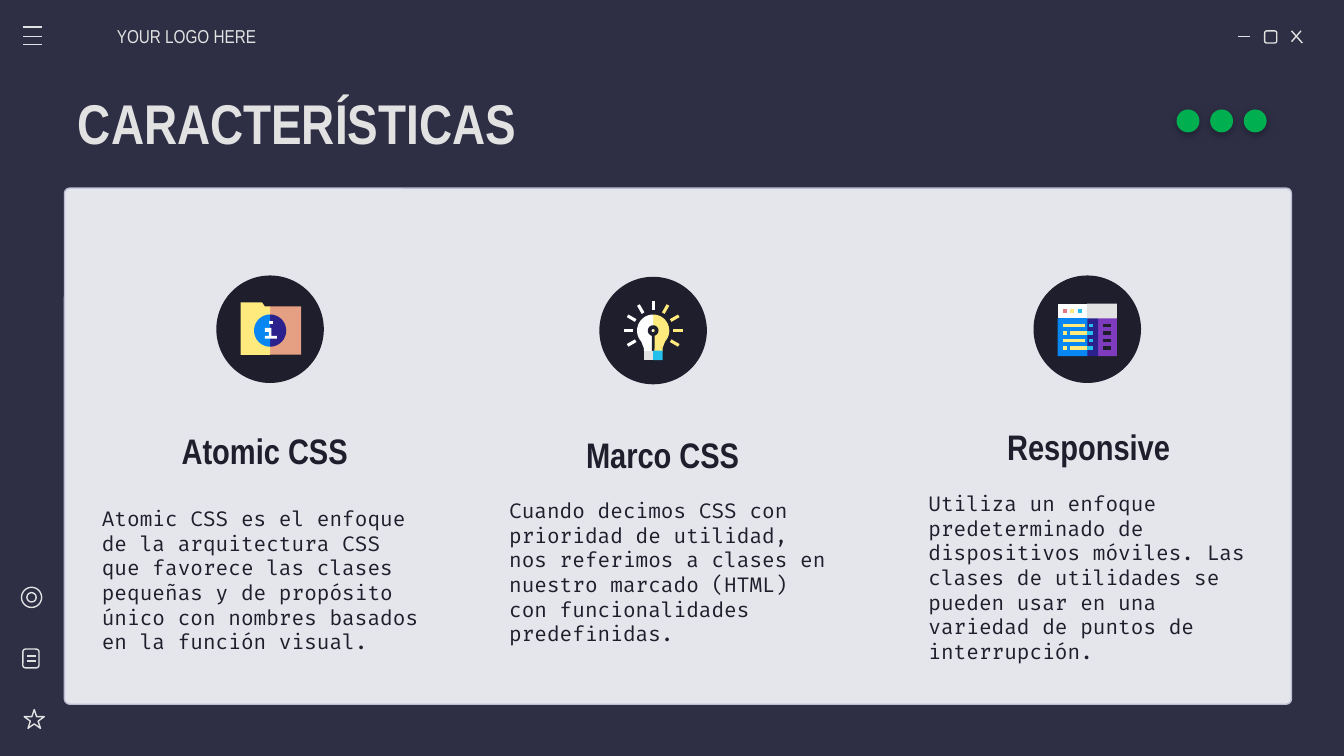
from math import cos, radians, sin

from lxml.etree import SubElement
from pptx import Presentation
from pptx.dml.color import RGBColor
from pptx.enum.shapes import MSO_CONNECTOR, MSO_SHAPE
from pptx.enum.text import MSO_ANCHOR, MSO_AUTO_SIZE, PP_ALIGN
from pptx.oxml.ns import qn
from pptx.util import Inches, Pt

THEME = {
    "heading_font": "Arial Narrow", "body_font": "Fira Code",
    "title_size": 30, "heading_size": 19, "body_size": 11, "small_size": 10,
    "rule": 0.75,
    "night": "2E2E45", "panel": "E5E5EC", "edge": "BCBCD4", "ink": "1E1E2C",
    "light": "E2E2E2", "green": "00B050", "white": "FFFFFF", "yellow": "FFEA7D",
    "tan": "E5A083", "navy": "2B218D", "blue": "0887F2", "cyan": "24BFEB",
    "purple": "7E3BBE", "pink": "E07A88",
}

TITLE = "CARACTERÍSTICAS"
LOGO_LINE = "YOUR LOGO HERE"
FEATURES = [
    {"heading": "Atomic CSS", "icon": "folder", "disc": (1.61, 2.05),
     "heading_at": (0.96, 3.1), "body_at": (0.66, 3.63),
     "body": "Atomic CSS es el enfoque de la arquitectura CSS que favorece las "
             "clases pequeñas y de propósito único con nombres basados en la "
             "función visual."},
    {"heading": "Marco CSS", "icon": "bulb", "disc": (4.46, 2.06),
     "heading_at": (3.92, 3.13), "body_at": (3.69, 3.57),
     "body": "Cuando decimos CSS con prioridad de utilidad, nos referimos a "
             "clases en nuestro marcado (HTML) con funcionalidades predefinidas."},
    {"heading": "Responsive", "icon": "screen", "disc": (7.69, 2.05),
     "heading_at": (7.09, 3.07), "body_at": (6.81, 3.61),
     "body": "Utiliza un enfoque predeterminado de dispositivos móviles. Las "
             "clases de utilidades se pueden usar en una variedad de puntos de "
             "interrupción."},
]
DISC_SIZE, ICON_Y = 0.8, 2.46

MENU_LINES = [(0.17, y, 0.31, y) for y in (0.2, 0.27, 0.33)]
NOTE_LINES = [(0.2, y, 0.27, y) for y in (4.88, 4.92)]
WINDOW_LINES = [(9.21, 0.27, 9.3, 0.27), (9.61, 0.23, 9.69, 0.32), (9.68, 0.23, 9.61, 0.31)]
OUTLINES = [
    (MSO_SHAPE.ROUNDED_RECTANGLE, (9.41, 0.23, 0.09, 0.09)),
    (MSO_SHAPE.OVAL, (0.16, 4.37, 0.15, 0.15)),
    (MSO_SHAPE.OVAL, (0.2, 4.41, 0.07, 0.07)),
    (MSO_SHAPE.ROUNDED_RECTANGLE, (0.17, 4.83, 0.12, 0.14)),
    (MSO_SHAPE.STAR_5_POINT, (0.18, 5.28, 0.15, 0.14)),
]
DOTS_X = [8.76, 9.01, 9.26]


def polar(radius, angle):
    return radius * cos(radians(angle)), radius * sin(radians(angle))


def arc(radius, start, end, steps=16):
    return [polar(radius, start + (end - start) * i / steps) for i in range(steps + 1)]


def rect(x, y, width, height):
    return [(x, y), (x + width, y), (x + width, y + height), (x, y + height)]


def ray(angle, inner=15, outer=22, half=1.15):
    side_x, side_y = polar(half, angle + 90)
    (ax, ay), (bx, by) = polar(inner, angle), polar(outer, angle)
    return [(ax + side_x, ay + side_y), (bx + side_x, by + side_y),
            (bx - side_x, by - side_y), (ax - side_x, ay - side_y)]


def folder_parts():
    return [
        ("tan", [(-2, 0), (0, -18), (23, -18), (23, 18), (0, 18)]),
        ("yellow", [(-22, -21), (-22, 18), (0, 18), (0, -18), (-4, -18), (-6, -21)]),
        ("navy", [(-2, 0)] + arc(12, -90, 90)),
        ("blue", arc(12, 90, 270)),
        ("white", [(-4, -2), (-4, 1), (-1, 1), (-1, 4), (-4, 4), (-4, 6),
                   (5, 6), (5, 4), (1, 4), (1, -2)]),
        ("white", rect(-1, -7, 3, 2)),
    ]


def bulb_parts():
    rays = [("white" if a <= -90 else "yellow", ray(a)) for a in range(-210, 31, 30)]
    return [
        ("yellow", arc(12, -90, 42) + [(7, 13), (7, 15), (-2, 17)]),
        ("white", arc(12, -90, -222) + [(-7, 13), (-7, 15), (0, 17)]),
        *rays,
        ("ink", arc(4, 105, 435) + [(1, 17), (-1, 17)], arc(1.2, 360, 0)),
        ("cyan", [(0, 15), (-2, 18), (0, 22), (7, 22), (7, 15)]),
        ("light", rect(-7, 15, 7, 7)),
    ]


def screen_parts():
    parts = [
        ("purple", [(7, -11), (8, 19), (22, 19), (22, -9)]),
        ("navy", [(-2, -11), (0, 19), (8, 19), (8, -9)]),
        ("blue", [(0, -11), (-22, -9), (-22, 19), (0, 19)]),
        ("light", [(0, -20), (-2, -14), (0, -9), (22, -9), (22, -20)]),
        ("white", rect(-22, -20, 22, 11)),
    ]
    for i, color in enumerate(("pink", "yellow", "cyan")):
        parts.append((color, rect(-18 + 5.5 * i, -16, 2.7, 2.7)))
    long_row = [("yellow", -18, 16.5), ("cyan", 1, 3)]
    split_row = [("yellow", -18, 2.7), ("yellow", -13, 13), ("cyan", -0.5, 4.5)]
    for i, row in enumerate((long_row, split_row) * 2):
        for color, x, width in row + [("ink", 12, 5.5)]:
            parts.append((color, rect(x, -5 + 5.6 * i, width, 2.6)))
    return parts


ICONS = {"folder": folder_parts, "bulb": bulb_parts, "screen": screen_parts}


def tint(name):
    return RGBColor.from_string(THEME[name])


def paint(item, fill=None, line=None):
    item.shadow.inherit = False
    if fill:
        item.fill.solid()
        item.fill.fore_color.rgb = tint(fill)
    else:
        item.fill.background()
    if line:
        item.line.color.rgb = tint(line)
        item.line.width = Pt(THEME["rule"])
    else:
        item.line.fill.background()
    return item


def preset(slide, kind, box, fill=None, line=None):
    return paint(slide.shapes.add_shape(kind, *map(Inches, box)), fill, line)


def stroke(slide, ends):
    rule = slide.shapes.add_connector(MSO_CONNECTOR.STRAIGHT, *map(Inches, ends))
    rule.line.color.rgb = tint("light")
    rule.line.width = Pt(THEME["rule"])
    SubElement(rule._element.spPr, qn("a:effectLst"))


def outline(slide, center, color, *contours):
    placed = [[(Inches(center[0] + x / 100), Inches(center[1] + y / 100)) for x, y in contour]
              for contour in contours]
    builder = slide.shapes.build_freeform(*placed[0][0])
    builder.add_line_segments(placed[0][1:], close=True)
    for contour in placed[1:]:
        builder.move_to(*contour[0])
        builder.add_line_segments(contour[1:], close=True)
    paint(builder.convert_to_shape(), color)


def drop_shadow(dot):
    effects = dot._element.spPr.find(qn("a:effectLst"))
    shadow = SubElement(effects, qn("a:outerShdw"), blurRad=str(Pt(4.5)), dist=str(Pt(1.5)),
                        dir="5400000", algn="bl", rotWithShape="0")
    black = SubElement(shadow, qn("a:srgbClr"), val="000000")
    SubElement(black, qn("a:alpha"), val="30000")


def write(slide, text, *, box, size, font="heading_font", color="ink", bold=False,
          align=PP_ALIGN.LEFT, left_inset=0.1, holder=None):
    place = [Inches(v) for v in box]
    holder = holder or slide.shapes.add_textbox(*place)
    holder.left, holder.top, holder.width, holder.height = place
    frame = holder.text_frame
    frame.word_wrap = True
    frame.auto_size = MSO_AUTO_SIZE.NONE
    frame.vertical_anchor = MSO_ANCHOR.MIDDLE
    frame.margin_left = Inches(left_inset)
    frame.margin_right = frame.margin_top = frame.margin_bottom = Inches(0.1)
    paragraph = frame.paragraphs[0]
    paragraph.alignment = align
    paragraph.space_before = Pt(0)
    run = paragraph.add_run()
    run.text = text
    run.font.name = THEME[font]
    run.font.size = Pt(THEME[size])
    run.font.bold = bold
    run.font.color.rgb = tint(color)


def main():
    deck = Presentation()
    deck.slide_width = Inches(10)
    deck.slide_height = deck.slide_width * 9 // 16
    slide = deck.slides.add_slide(deck.slide_layouts[0])
    slide.background.fill.solid()
    slide.background.fill.fore_color.rgb = tint("night")

    panel = preset(slide, MSO_SHAPE.ROUNDED_RECTANGLE, (0.48, 1.4, 9.13, 3.84), "panel", "edge")
    panel.adjustments[0] = 0.01
    write(slide, TITLE, box=(0.48, 0.59, 9.13, 0.63), size="title_size", color="light",
          bold=True, holder=slide.shapes.title)
    write(slide, LOGO_LINE, box=(0.87, 0.12, 1.17, 0.3), size="small_size", color="light",
          left_inset=0, holder=slide.placeholders[1])

    for feature in FEATURES:
        left, top = feature["disc"]
        preset(slide, MSO_SHAPE.OVAL, (left, top, DISC_SIZE, DISC_SIZE), "ink")
        for color, *contours in ICONS[feature["icon"]]():
            outline(slide, (left + DISC_SIZE / 2, ICON_Y), color, *contours)
        write(slide, feature["heading"], box=(*feature["heading_at"], 2.02, 0.5),
              size="heading_size", bold=True, align=PP_ALIGN.CENTER)
        write(slide, feature["body"], box=(*feature["body_at"], 2.63, 1.37),
              size="body_size", font="body_font")

    for kind, box in OUTLINES:
        preset(slide, kind, box, line="light")
    for ends in MENU_LINES + NOTE_LINES + WINDOW_LINES:
        stroke(slide, ends)
    for x in DOTS_X:
        drop_shadow(preset(slide, MSO_SHAPE.OVAL, (x, 0.82, 0.16, 0.16), "green", "green"))

    deck.save("out.pptx")


if __name__ == "__main__":
    main()
